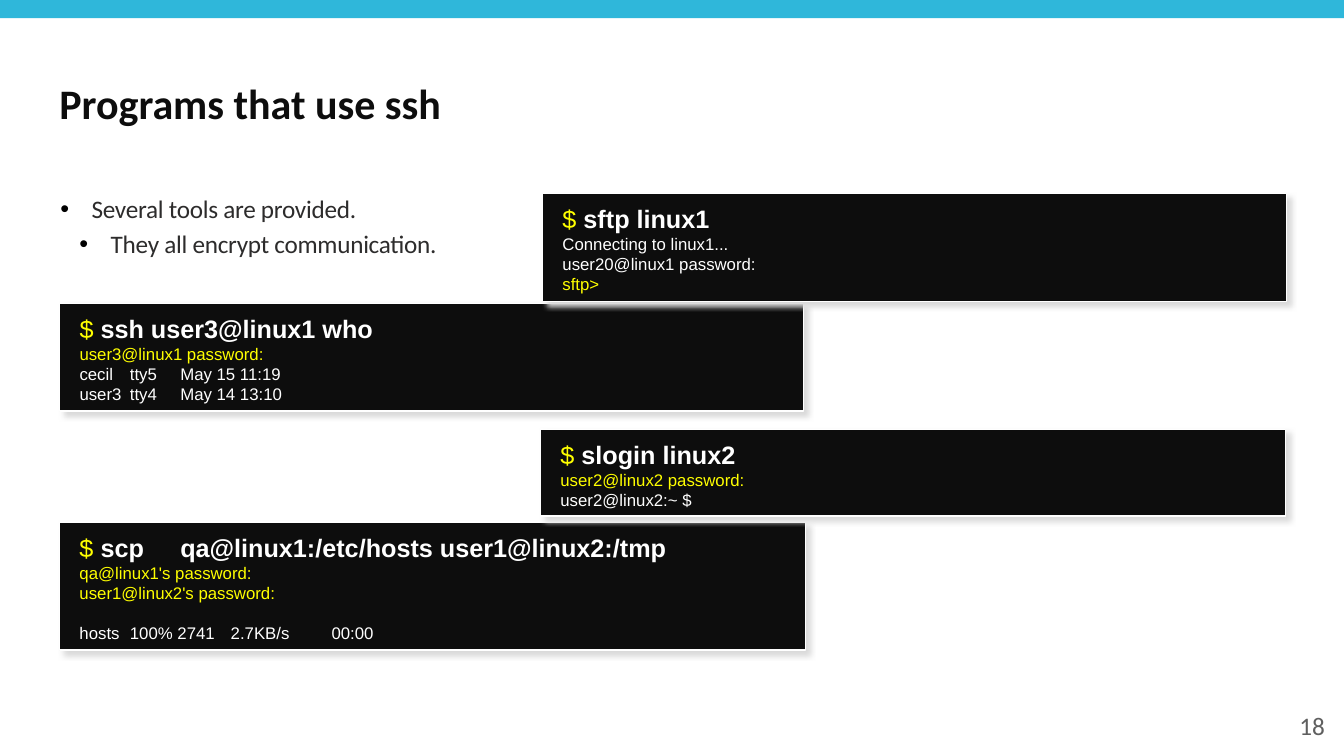
from dataclasses import dataclass

from lxml.etree import SubElement
from pptx import Presentation
from pptx.dml.color import RGBColor
from pptx.enum.shapes import MSO_SHAPE
from pptx.enum.text import MSO_ANCHOR, PP_ALIGN
from pptx.oxml.ns import qn
from pptx.shapes.base import BaseShape
from pptx.slide import Slide
from pptx.text.text import TextFrame, _Paragraph, _Run
from pptx.util import Inches, Pt


@dataclass(frozen=True)
class Theme:
    bar: str = "2FB7DA"
    dark: str = "0D0D0D"
    body: str = "2D2C2C"
    grey: str = "5F5F5F"
    white: str = "FFFFFF"
    yellow: str = "FFFF00"
    shade: str = "DADADA"
    bullet: str = "000000"
    sans: str = "Calibri"
    term: str = "Arial"
    head: float = 30
    main: float = 18
    small: float = 12


@dataclass(frozen=True)
class Box:
    left: float
    top: float
    width: float
    height: float


@dataclass(frozen=True)
class Line:
    text: str
    prompt: bool = False
    gap: float = 0


@dataclass(frozen=True)
class Console:
    box: Box
    command: str
    lines: tuple[Line, ...]


THEME = Theme()

BULLETS = (
    ("Several tools are provided.", 0.32),
    ("They all encrypt communication.", 0.51),
)

CONSOLES = (
    Console(Box(0.59, 3.01, 7.38, 1.07), "ssh user3@linux1 who", (
        Line("user3@linux1 password:", True),
        Line("cecil\ttty5\tMay 15 11:19"),
        Line("user3\ttty4\tMay 14 13:10"),
    )),
    Console(Box(5.38, 1.92, 7.38, 1.07), "sftp linux1", (
        Line("Connecting to linux1..."),
        Line("user20@linux1 password:"),
        Line("sftp>", True),
    )),
    Console(Box(0.59, 5.18, 7.4, 1.27), "scp\tqa@linux1:/etc/hosts user1@linux2:/tmp", (
        Line("qa@linux1's password:", True),
        Line("user1@linux2's password:", True),
        Line("hosts\t100% 2741\t2.7KB/s\t00:00", gap=14.4),
    )),
    Console(Box(5.36, 4.26, 7.39, 0.86), "slogin linux2", (
        Line("user2@linux2 password:", True),
        Line("user2@linux2:~ $"),
    )),
)


def style(run: _Run, face: str, size: float, tone: str, bold: bool = False) -> None:
    run.font.name = face
    run.font.size = Pt(size)
    run.font.bold = bold
    run.font.color.rgb = RGBColor.from_string(tone)


def place(box: Box) -> tuple[int, ...]:
    return tuple(Inches(n) for n in (box.left, box.top, box.width, box.height))


def indent(para: _Paragraph, left: float, first: float = 0) -> None:
    props = para._p.get_or_add_pPr()
    props.set("marL", str(Inches(left)))
    props.set("indent", str(Inches(first)))


def add_para(frame: TextFrame, index: int) -> _Paragraph:
    return frame.add_paragraph() if index else frame.paragraphs[0]


def add_rect(slide: Slide, box: Box, fill: str) -> BaseShape:
    rect = slide.shapes.add_shape(MSO_SHAPE.RECTANGLE, *place(box))
    rect.shadow.inherit = False
    rect.fill.solid()
    rect.fill.fore_color.rgb = RGBColor.from_string(fill)
    rect.line.fill.background()
    return rect


def add_text(slide: Slide, box: Box, text: str = "") -> TextFrame:
    frame = slide.shapes.add_textbox(*place(box)).text_frame
    frame.word_wrap = True
    frame.text = text
    return frame


def add_bullets(slide: Slide, box: Box) -> None:
    frame = add_text(slide, box)
    for index, (text, left) in enumerate(BULLETS):
        para = add_para(frame, index)
        para.text = text
        para.level = index
        para.line_spacing = 0.9
        para.space_before = Pt(5.7 if index else 0)
        indent(para, left, -0.31)
        props = para._p.get_or_add_pPr()
        tint = SubElement(props, qn("a:buClr"))
        SubElement(tint, qn("a:srgbClr"), val=THEME.bullet)
        SubElement(props, qn("a:buFont"), typeface=THEME.term)
        SubElement(props, qn("a:buChar"), char="•")
        run = para.runs[0]
        style(run, THEME.sans, THEME.main, THEME.body)
        run._r.get_or_add_rPr().set("spc", "-20")


def add_shade(rect: BaseShape) -> None:
    effects = rect._element.spPr.find(qn("a:effectLst"))
    shade = SubElement(effects, qn("a:outerShdw"), blurRad=str(Pt(4)),
                       dist=str(Pt(4)), dir=str(45 * 60000), algn="tl")
    SubElement(shade, qn("a:srgbClr"), val=THEME.shade)


def add_console(slide: Slide, item: Console) -> None:
    rect = add_rect(slide, item.box, THEME.dark)
    rect.line.color.rgb = RGBColor.from_string(THEME.white)
    rect.line.width = Pt(1)
    add_shade(rect)
    frame = rect.text_frame
    frame.word_wrap = True
    frame.vertical_anchor = MSO_ANCHOR.TOP
    frame.margin_left = frame.margin_right = frame.margin_top = Inches(0.1)
    frame.margin_bottom = Inches(0.06)
    frame.text = "$ "
    first = frame.paragraphs[0]
    style(first.runs[0], THEME.term, THEME.main, THEME.yellow)
    order = first.add_run()
    order.text = item.command
    style(order, THEME.term, THEME.main, THEME.white, True)
    for line in item.lines:
        para = frame.add_paragraph()
        para.text = line.text
        para.space_before = Pt(line.gap)
        tone = THEME.yellow if line.prompt else THEME.white
        style(para.runs[0], THEME.term, THEME.small, tone)
    for para in frame.paragraphs:
        para.alignment = PP_ALIGN.LEFT
        indent(para, 0.1)


def main() -> None:
    deck = Presentation()
    deck.slide_width, deck.slide_height = Inches(13.33), Inches(7.5)
    slide = deck.slides.add_slide(deck.slide_layouts[6])
    add_rect(slide, Box(0, 0, 13.33, 0.18), THEME.bar)

    title = add_text(slide, Box(0.49, 0.55, 12.36, 0.94), "Programs that use ssh")
    title.vertical_anchor = MSO_ANCHOR.MIDDLE
    style(title.paragraphs[0].runs[0], THEME.sans, THEME.head, THEME.dark, True)

    add_bullets(slide, Box(0.49, 1.9, 12.36, 4.76))

    page = add_text(slide, Box(10.24, 7, 3, 0.4), "18")
    page.vertical_anchor = MSO_ANCHOR.MIDDLE
    page.paragraphs[0].alignment = PP_ALIGN.RIGHT
    style(page.paragraphs[0].runs[0], THEME.sans, THEME.main, THEME.grey)

    for item in CONSOLES:
        add_console(slide, item)
    deck.save("out.pptx")


if __name__ == "__main__":
    main()
